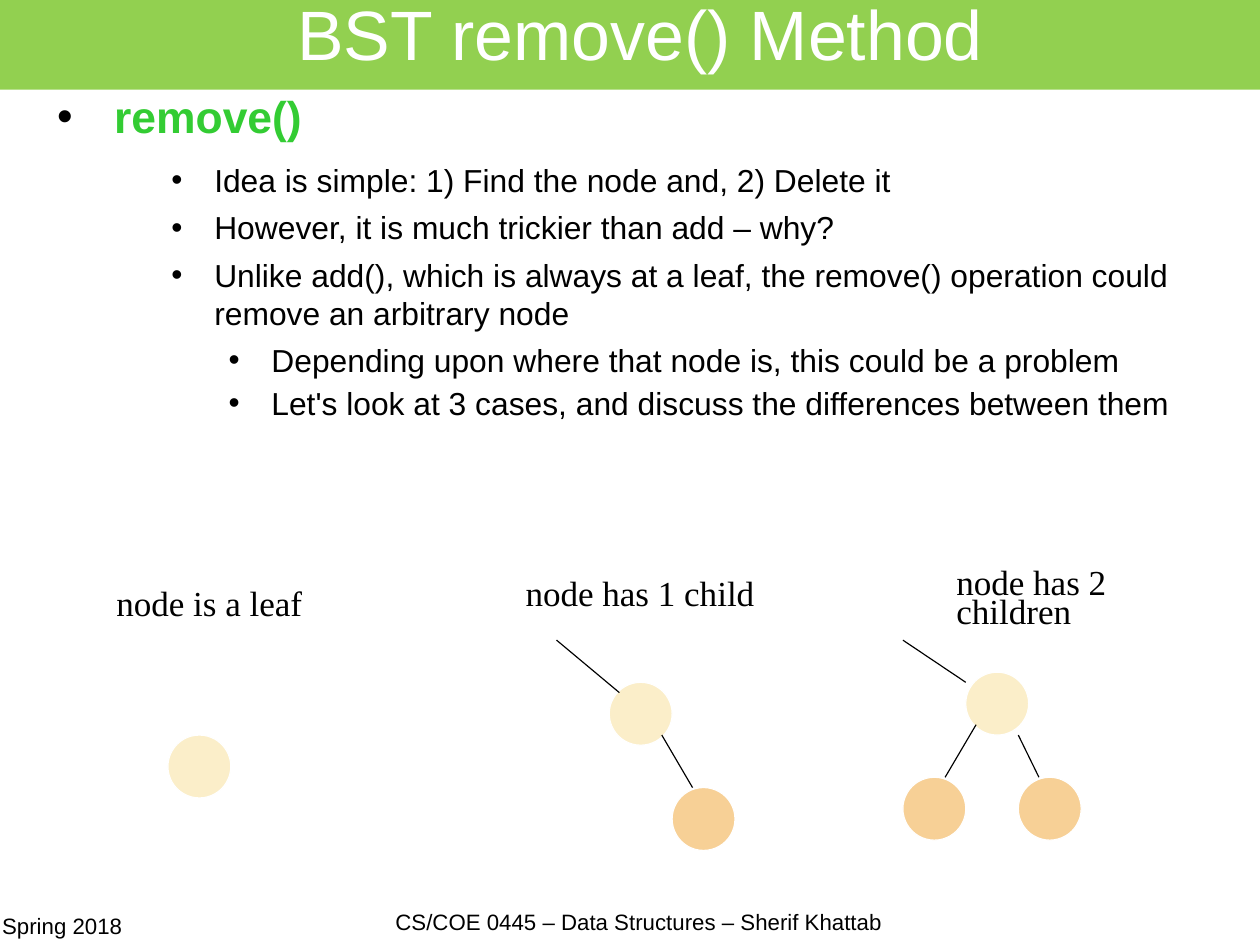
from pptx import Presentation
from pptx.dml.color import RGBColor
from pptx.enum.shapes import MSO_CONNECTOR, MSO_SHAPE
from pptx.enum.text import MSO_ANCHOR, MSO_AUTO_SIZE, PP_ALIGN
from pptx.oxml.ns import qn
from pptx.util import Pt
from lxml.etree import SubElement

COLORS = {
    "banner": "92D050",
    "heading": "33CC33",
    "node": "FBEEC9",
    "child": "F0A22E",
    "text": "000000",
    "white": "FFFFFF",
}
NODE_SIZE = 39.6

# Bullet styles: level, text indent, hanging indent, space after, size, colour, bold
HEADING = (1, 72, 36, 11.4, 28, "heading", True)
POINT = (3, 135, 27, 5.8, 20, "text", False)
SUBPOINT = (4, 171, 27, 2.9, 20, "text", False)

BULLETS = [
    (HEADING, "remove()"),
    (POINT, "Idea is simple: 1) Find the node and, 2) Delete it"),
    (POINT, "However, it is much trickier than add – why?"),
    (POINT, "Unlike add(), which is always at a leaf, the remove() operation "
            "could remove an arbitrary node"),
    (SUBPOINT, "Depending upon where that node is, this could be a problem"),
    (SUBPOINT, "Let's look at 3 cases, and discuss the differences between them"),
]

# Each case: label, label box, nodes (left, top, kind), edges (x1, y1, x2, y2)
CASES = [
    ("node is a leaf", (66.2, 370.1, 185, 26.6),
     [(105.8, 463, "node")],
     []),
    ("node has 1 child", (324, 363.6, 185, 26.6),
     [(383.8, 429.8, "node"), (423.4, 496.1, "child")],
     [(350.6, 403.2, 390.2, 436.3), (416.9, 463, 436.3, 496.1)]),
    ("node has 2 children", (595.4, 357.1, 165.6, 44.6),
     [(608.4, 423.4, "node"), (568.8, 489.6, "child"), (641.5, 489.6, "child")],
     [(568.8, 403.2, 608.4, 429.8), (614.9, 456.5, 595.4, 489.6),
      (641.5, 463, 654.5, 489.6)]),
]


def rgb(name):
    return RGBColor.from_string(COLORS[name])


def set_font(para, name, size, color, bold=False):
    para.font.name = name
    para.font.size = Pt(size)
    para.font.bold = bold
    para.font.color.rgb = rgb(color)


def clear_margins(frame):
    frame.margin_left = frame.margin_top = Pt(0)
    frame.margin_right = frame.margin_bottom = Pt(0)


def add_box(page, bounds):
    box = page.shapes.add_textbox(*map(Pt, bounds))
    box.text_frame.word_wrap = True
    return box.text_frame


def format_title(page):
    title = page.shapes.title
    title.left, title.top, title.width, title.height = map(Pt, (0, -1.6, 794.9, 58))
    title.fill.solid()
    title.fill.fore_color.rgb = rgb("banner")
    frame = title.text_frame
    clear_margins(frame)
    frame.auto_size = MSO_AUTO_SIZE.NONE
    frame.vertical_anchor = MSO_ANCHOR.MIDDLE
    frame.text = " BST remove() Method"
    para = frame.paragraphs[0]
    para.alignment = PP_ALIGN.CENTER
    para.line_spacing = 0.69
    para.space_before = Pt(0)
    set_font(para, "Arial", 44, "white")


def add_bullet_mark(para, indent, hanging):
    properties = para._p.get_or_add_pPr()
    properties.set("marL", str(Pt(indent)))
    properties.set("indent", str(-Pt(hanging)))
    color = SubElement(properties, qn("a:buClr"))
    SubElement(color, qn("a:srgbClr"), val=COLORS["text"])
    SubElement(properties, qn("a:buFont"), typeface="Arial")
    SubElement(properties, qn("a:buChar"), char="•")


def add_bullets(page, bounds, bullets):
    frame = add_box(page, bounds)
    clear_margins(frame)
    for number, (style, text) in enumerate(bullets):
        level, indent, hanging, after, size, color, bold = style
        para = frame.add_paragraph() if number else frame.paragraphs[0]
        para.text = text
        para.level = level
        para.space_after = Pt(after)
        add_bullet_mark(para, indent, hanging)
        set_font(para, "Arial", size, color, bold)


def add_label(page, text, bounds):
    frame = add_box(page, bounds)
    frame.auto_size = MSO_AUTO_SIZE.SHAPE_TO_FIT_TEXT
    para = frame.paragraphs[0]
    para.text = text
    para.line_spacing = 0.69
    set_font(para, "Times New Roman", 22.1, "text")


def add_node(page, left, top, kind):
    node = page.shapes.add_shape(
        MSO_SHAPE.OVAL, Pt(left), Pt(top), Pt(NODE_SIZE), Pt(NODE_SIZE))
    node.shadow.inherit = False
    node.fill.solid()
    node.fill.fore_color.rgb = rgb(kind)
    if kind == "child":
        color = node._element.spPr.find(qn("a:solidFill")).find(qn("a:srgbClr"))
        SubElement(color, qn("a:alpha"), val="50000")
    node.line.color.rgb = rgb("white")
    node.line.width = Pt(0.75)


def add_edge(page, *ends):
    edge = page.shapes.add_connector(MSO_CONNECTOR.STRAIGHT, *map(Pt, ends))
    edge.line.color.rgb = rgb("text")
    edge.line.width = Pt(0.75)
    SubElement(edge._element.spPr, qn("a:effectLst"))


def add_footer(page, text, bounds, alignment, spacing):
    frame = add_box(page, bounds)
    clear_margins(frame)
    para = frame.paragraphs[0]
    para.text = text
    para.alignment = alignment
    para.line_spacing = spacing
    set_font(para, "Arial", 14, "text")


def main():
    deck = Presentation()
    deck.slide_width, deck.slide_height = Pt(793.75), Pt(595.25)
    page = deck.slides.add_slide(deck.slide_layouts[5])

    # Title and explanation
    format_title(page)
    add_bullets(page, (0, 56.2, 794.9, 517), BULLETS)

    # Three removal cases
    for label, bounds, nodes, edges in CASES:
        add_label(page, label, bounds)
        for node in nodes:
            add_node(page, *node)
        for edge in edges:
            add_edge(page, *edge)

    # Footer
    add_footer(page, "Spring 2018", (1.4, 577.2, 182.2, 39.6), PP_ALIGN.LEFT, 0.84)
    add_footer(page, "CS/COE 0445 – Data Structures – Sherif Khattab",
               (221, 573.2, 362.9, 39.6), PP_ALIGN.CENTER, 0.96)

    deck.save("out.pptx")


if __name__ == "__main__":
    main()
